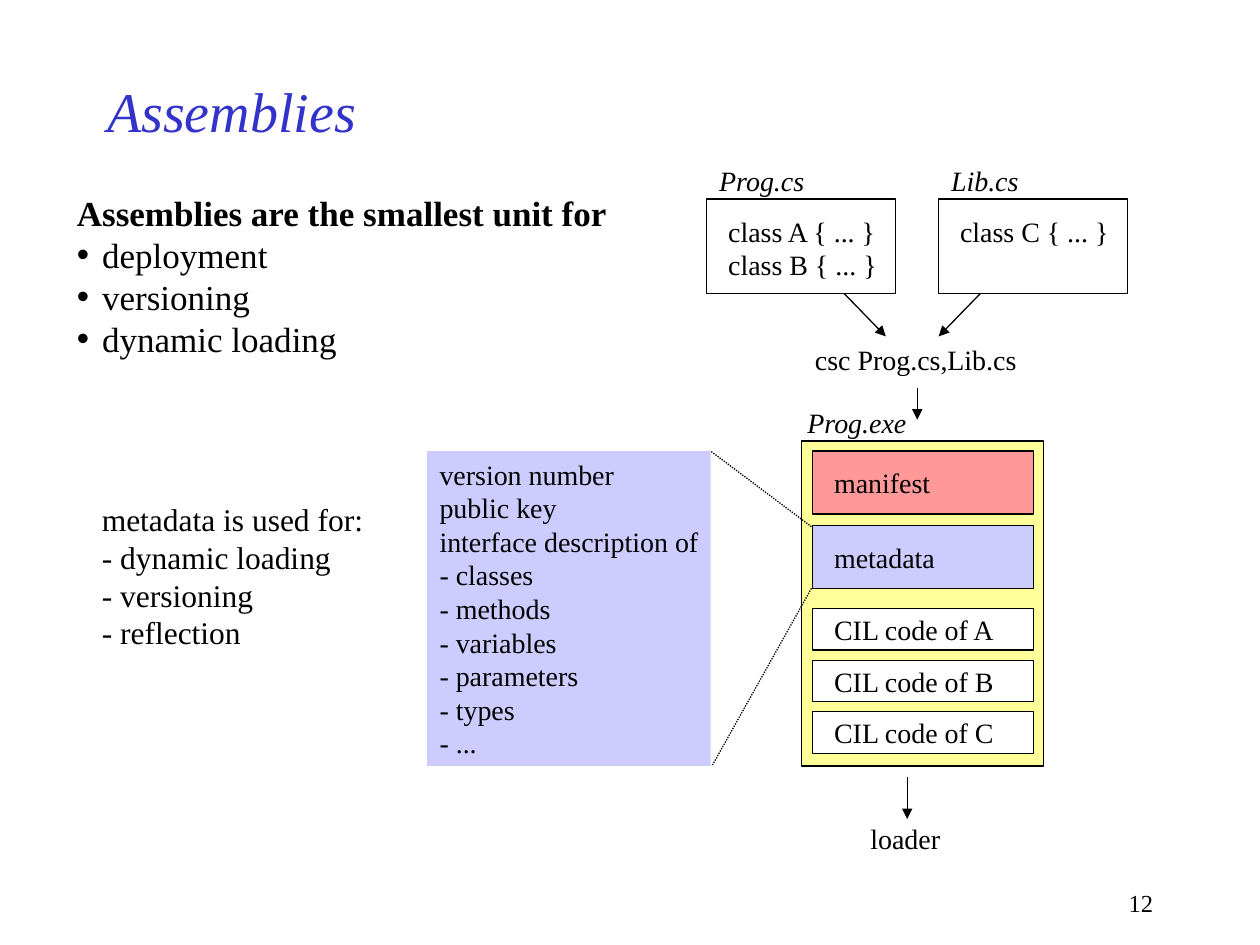
from pptx import Presentation
from pptx.dml.color import RGBColor as RGB
from pptx.enum.dml import MSO_LINE as Dash
from pptx.enum.shapes import MSO_CONNECTOR as Conn, MSO_SHAPE as Geo
from pptx.enum.text import MSO_ANCHOR as Anchor, MSO_AUTO_SIZE as Fit, PP_ALIGN as Align
from pptx.oxml.ns import qn
from pptx.util import Inches, Pt
from lxml.etree import SubElement as Sub

FONT = "Times New Roman"
HUES = {"ink": "000000", "title": "3333CC", "pack": "FFFF99", "red": "FF9999",
        "blue": "CCCCFF", "white": "FFFFFF"}


def hue(name):
    """Give the colour of that name."""
    return RGB.from_string(HUES[name])


def write(frame, lines, size=16, color="ink", bold=False, italic=False, align=Align.LEFT):
    """Fill a text frame with one paragraph for each line."""
    for num, line in enumerate(lines):
        para = frame.add_paragraph() if num else frame.paragraphs[0]
        para.alignment = align
        para.space_before = Pt(0)
        run = para.add_run()
        run.text = line
        font = run.font
        font.name, font.size = FONT, Pt(size)
        font.bold, font.italic = bold, italic
        font.color.rgb = hue(color)


def place(shape, left, top, width, height):
    """Move and size a shape."""
    shape.left, shape.top = Inches(left), Inches(top)
    shape.width, shape.height = Inches(width), Inches(height)


def label(slide, left, top, width, height, lines, **look):
    """Add plain text."""
    box = slide.shapes.add_textbox(Inches(left), Inches(top), Inches(width), Inches(height))
    box.text_frame.word_wrap = True
    write(box.text_frame, lines, **look)


def block(slide, left, top, width, height, fill=None, lines=(), inset=0.17,
          edge=True, pad=0.05, anchor=Anchor.MIDDLE):
    """Add a rectangle with text set in from its left side."""
    rect = slide.shapes.add_shape(Geo.RECTANGLE, Inches(left), Inches(top),
                                  Inches(width), Inches(height))
    rect.shadow.inherit = False
    if fill:
        rect.fill.solid()
        rect.fill.fore_color.rgb = hue(fill)
    else:
        rect.fill.background()
    if edge:
        rect.line.color.rgb = hue("ink")
        rect.line.width = Pt(0.75)
    else:
        rect.line.fill.background()
    frame = rect.text_frame
    frame.word_wrap = False
    frame.vertical_anchor = anchor
    frame.margin_left, frame.margin_top = Inches(inset), Inches(pad)
    write(frame, lines)


def link(slide, x1, y1, x2, y2, arrow=True):
    """Draw an arrow, or a dotted line without a head."""
    line = slide.shapes.add_connector(Conn.STRAIGHT, Inches(x1), Inches(y1),
                                      Inches(x2), Inches(y2))
    line.line.color.rgb = hue("ink")
    line.line.width = Pt(0.75)
    if arrow:
        Sub(line.line._get_or_add_ln(), qn("a:tailEnd"), type="triangle")
    else:
        line.line.dash_style = Dash.ROUND_DOT
    Sub(line._element.spPr, qn("a:effectLst"))


def heading(slide, left, top, width, height):
    """Set the title."""
    title = slide.shapes.title
    place(title, left, top, width, height)
    title.text_frame.vertical_anchor = Anchor.MIDDLE
    write(title.text_frame, ["Assemblies"], size=32, color="title", italic=True)


def units(slide, left, top, width, height):
    """Set the list of what assemblies are for."""
    body = slide.placeholders[1]
    place(body, left, top, width, height)
    frame = body.text_frame
    frame.auto_size = Fit.NONE
    write(frame, ["Assemblies are the smallest unit for", "deployment",
                  "versioning", "dynamic loading"], size=20)
    for num, para in enumerate(frame.paragraphs):
        props = para._p.get_or_add_pPr()
        props.set("marL", str(Inches(0.2)))
        props.set("indent", str(-Inches(0.2)))
        if num:
            Sub(props, qn("a:buChar"), char="•")
        else:
            Sub(props, qn("a:buNone"))
            para.runs[0].font.bold = True


def source(slide, left, top, name, lines):
    """Draw a source file with its name above."""
    block(slide, left, top, 1.5, 0.75, lines=lines, pad=0.12, anchor=Anchor.TOP)
    label(slide, left, top - 0.33, 1, 0.37, [name], italic=True)


def build(slide, left, top):
    """Draw the way from two source files to the compiler."""
    source(slide, left, top, "Prog.cs", ["class A { ... }", "class B { ... }"])
    source(slide, left + 1.84, top, "Lib.cs", ["class C { ... }"])
    link(slide, left + 1.09, top + 0.75, left + 1.42, top + 1.09)
    link(slide, left + 2.17, top + 0.75, left + 1.84, top + 1.09)
    label(slide, left + 0.76, top + 1.09, 1.9, 0.37, ["csc Prog.cs,Lib.cs"])
    link(slide, left + 1.67, top + 1.5, left + 1.67, top + 1.75)


def package(slide, left, top, width, height):
    """Draw the assembly, its parts and the loader."""
    label(slide, left - 0.05, top - 0.33, 1.1, 0.37, ["Prog.exe"], italic=True)
    block(slide, left, top, width, height, "pack")
    parts = [("manifest", "red", 0.08, 0.5), ("metadata", "blue", 0.67, 0.5)]
    parts += [(f"CIL code of {unit}", "white", 1.33 + 0.41 * num, 0.33)
              for num, unit in enumerate("ABC")]
    for name, fill, down, tall in parts:
        block(slide, left + 0.09, top + down, width - 0.17, tall, fill, [name])
    mid = left + 0.84
    link(slide, mid, top + height + 0.09, mid, top + height + 0.42)
    label(slide, mid - 0.39, top + height + 0.39, 0.85, 0.37, ["loader"])


def detail(slide, left, top, width, height):
    """Draw the contents of the metadata, opened out of its bar."""
    kinds = ["classes", "methods", "variables", "parameters", "types", "..."]
    lines = ["version number", "public key", "interface description of"]
    block(slide, left, top, width, height, "blue", lines + [f"- {kind}" for kind in kinds],
          inset=0.1, edge=False, anchor=Anchor.TOP)
    right = left + width
    link(slide, right + 0.8, top + 0.6, right, top, arrow=False)
    link(slide, right + 0.8, top + 1.09, right + 0.01, top + height, arrow=False)


def main():
    """Build the slide."""
    deck = Presentation()
    deck.slide_width, deck.slide_height = Inches(10), Inches(7.5)
    slide = deck.slides.add_slide(deck.slide_layouts[1])
    heading(slide, 0.75, 0.5, 7.5, 0.75)
    units(slide, 0.51, 1.47, 4.82, 1.44)
    build(slide, 5.61, 1.58)
    package(slide, 6.36, 3.5, 1.92, 2.58)
    detail(slide, 3.39, 3.58, 2.25, 2.5)
    label(slide, 0.71, 3.92, 2.42, 1.3,
          ["metadata is used for:", "- dynamic loading", "- versioning", "- reflection"],
          size=18)
    label(slide, 7.17, 7, 2.08, 0.33, ["12"], size=14, align=Align.RIGHT)
    deck.save("out.pptx")


if __name__ == "__main__":
    main()
